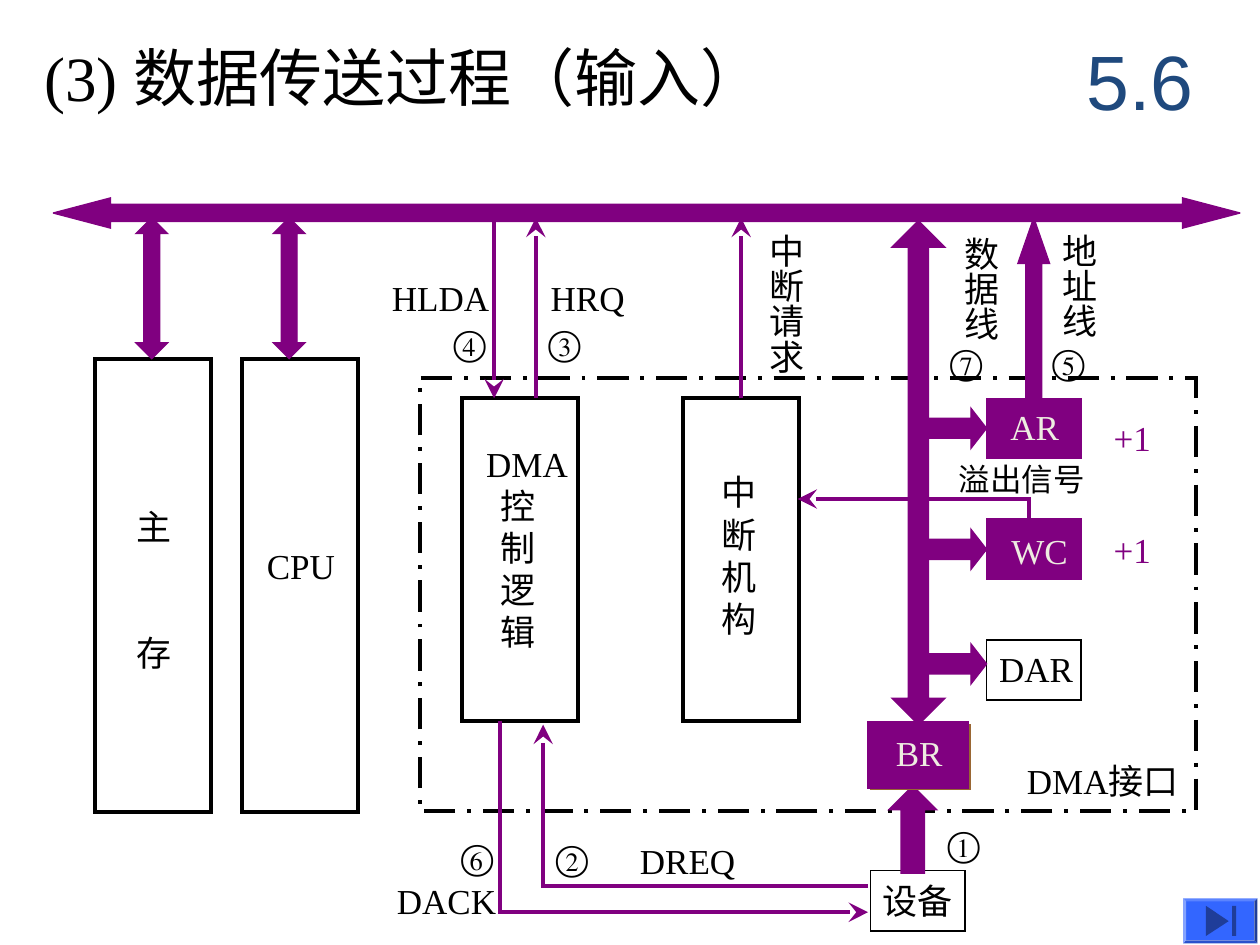
from lxml.etree import SubElement
from pptx import Presentation
from pptx.dml.color import RGBColor
from pptx.enum.dml import MSO_LINE
from pptx.enum.shapes import MSO_CONNECTOR, MSO_SHAPE
from pptx.enum.text import MSO_ANCHOR, MSO_AUTO_SIZE, PP_ALIGN
from pptx.oxml.ns import qn
from pptx.util import Cm, Pt

BLACK = RGBColor(0x00, 0x00, 0x00)
PURPLE = RGBColor(0x80, 0x00, 0x80)
CREAM = RGBColor(0xEE, 0xEC, 0xE1)
NAVY = RGBColor(0x1F, 0x49, 0x7D)
BROWN = RGBColor(0x99, 0x66, 0x33)
BUTTON_BLUE = RGBColor(0x33, 0x66, 0xFF)
ICON_BLUE = RGBColor(0x1F, 0x3D, 0x99)

LABEL_HEIGHT = 1.12
LABEL_SLACK = 0.2
REGISTER_SIZE = (1.91, 1.22)
REGISTER_LEFT = 19.89
UNIT_WIDTH = 2.34
UNIT_TOP, UNIT_HEIGHT = 8.03, 6.5
BUS_EDGE = 4.39


def write(frame, *lines, size=20, font="Times New Roman", color=BLACK,
          align=PP_ALIGN.LEFT, indent_from=None, gap=0):
    frame.text = "\n".join(lines)
    for index, paragraph in enumerate(frame.paragraphs):
        if indent_from is not None and index >= indent_from:
            paragraph._p.get_or_add_pPr().set("marL", str(Cm(0.3)))
        paragraph.alignment = align
        if index and gap:
            paragraph.space_before = Pt(gap)
        paragraph.font.size = Pt(size)
        paragraph.font.name = font
        paragraph.font.color.rgb = color


def label(slide, left, top, width, *lines, height=LABEL_HEIGHT, **style):
    box = slide.shapes.add_textbox(Cm(left), Cm(top), Cm(width + LABEL_SLACK), Cm(height))
    box.text_frame.word_wrap = False
    box.text_frame.auto_size = MSO_AUTO_SIZE.SHAPE_TO_FIT_TEXT
    write(box.text_frame, *lines, **style)


def vertical_label(slide, left, top, height, name):
    box = slide.shapes.add_textbox(Cm(left), Cm(top), Cm(1.35), Cm(height + LABEL_SLACK))
    frame = box.text_frame
    frame.word_wrap = False
    frame._txBody.bodyPr.set("vert", "eaVert")
    frame.margin_left = frame.margin_right = Cm(0.13)
    frame.margin_top = frame.margin_bottom = Cm(0.25)
    frame.auto_size = MSO_AUTO_SIZE.SHAPE_TO_FIT_TEXT
    write(frame, name)


def paint(shape, fill, line, weight):
    shape.shadow.inherit = False
    if fill is None:
        shape.fill.background()
    else:
        shape.fill.solid()
        shape.fill.fore_color.rgb = fill
    if line is None:
        shape.line.fill.background()
    else:
        shape.line.color.rgb = line
        shape.line.width = Pt(weight)
        SubElement(shape.line._get_or_add_ln(), qn("a:miter"), lim="800000")


def block(slide, left, top, width, height, kind=MSO_SHAPE.RECTANGLE,
          fill=None, line=BLACK, weight=2.25, adjust=()):
    shape = slide.shapes.add_shape(kind, Cm(left), Cm(top), Cm(width), Cm(height))
    for index, value in enumerate(adjust):
        shape.adjustments[index] = value
    paint(shape, fill, line, weight)
    return shape


def block_arrow(slide, kind, left, top, width, height, adjust, weight=0.75):
    block(slide, left, top, width, height, kind, PURPLE, PURPLE, weight, adjust)


def add_arrowhead(line):
    SubElement(line._get_or_add_ln(), qn("a:tailEnd"), type="stealth", w="lg", len="lg")


def signal(slide, x, start, end, source=None):
    wire = slide.shapes.add_connector(MSO_CONNECTOR.STRAIGHT, Cm(x), Cm(start), Cm(x), Cm(end))
    if source is not None:
        wire.begin_connect(source, 0)
    wire.line.color.rgb = PURPLE
    wire.line.width = Pt(2.25)
    add_arrowhead(wire.line)
    SubElement(wire._element.spPr, qn("a:effectLst"))


def outline(slide, points, close):
    start, *rest = [(Cm(x), Cm(y)) for x, y in points]
    builder = slide.shapes.build_freeform(*start)
    builder.add_line_segments(rest, close=close)
    return builder.convert_to_shape()


def bent_signal(slide, *points):
    wire = outline(slide, points, close=False)
    paint(wire, None, PURPLE, 2.25)
    add_arrowhead(wire.line)


def add_headings(slide):
    title = slide.shapes.title
    title.left, title.top, title.width, title.height = Cm(0.64), Cm(0.64), Cm(17.35), Cm(1.78)
    title.text_frame.auto_size = MSO_AUTO_SIZE.NONE
    title.text_frame.vertical_anchor = MSO_ANCHOR.TOP
    write(title.text_frame, "(3) 数据传送过程（输入）", size=36)

    section = slide.shapes.add_textbox(Cm(21.39), Cm(0.43), Cm(3.18), Cm(2.34)).text_frame
    section.word_wrap = True
    section.vertical_anchor = MSO_ANCHOR.MIDDLE
    write(section, "5.6", size=44, font="Arial", color=NAVY, align=PP_ALIGN.CENTER)


def add_units(slide):
    for left in (1.91, 4.88):
        block(slide, left, 7.24, UNIT_WIDTH, 9.14)
    label(slide, 2.51, 10.06, 1.22, "主", "存", height=3.66, gap=48)
    label(slide, 5.13, 10.85, 1.88, "CPU")

    interface = block(slide, 8.46, 7.62, 15.65, 8.74)
    interface.line.dash_style = MSO_LINE.LONG_DASH_DOT
    label(slide, 20.45, 15.19, 3.73, "DMA接口")

    block(slide, 9.32, UNIT_TOP, UNIT_WIDTH, UNIT_HEIGHT)
    label(slide, 9.55, 8.79, 2.16, "DMA", "控", "制", "逻", "辑", height=4.5, indent_from=1)
    interrupt_unit = block(slide, 13.77, UNIT_TOP, UNIT_WIDTH, UNIT_HEIGHT)
    label(slide, 14, 9.37, 1.52, "中", "断", "机", "构", height=3.66, indent_from=0)

    block(slide, REGISTER_LEFT, 12.9, *REGISTER_SIZE, weight=1)
    label(slide, 19.89, 12.93, 2.01, "DAR")
    block(slide, 17.55, 17.55, *REGISTER_SIZE, weight=1)
    label(slide, 17.55, 17.6, 1.91, "设备")
    return interrupt_unit


def add_buses(slide):
    block_arrow(slide, MSO_SHAPE.LEFT_RIGHT_ARROW, 1.07, 3.99, 23.93, 0.61, (0.568, 1.9))
    for left in (2.74, 5.51):
        block_arrow(slide, MSO_SHAPE.UP_DOWN_ARROW, left, BUS_EDGE, 0.64, 2.84, (0.89, 0.5))
    for top in (8.23, 10.67, 12.98):
        block_arrow(slide, MSO_SHAPE.RIGHT_ARROW, 18.62, top, 1.27, 0.81, (0.5, 0.39))
    block_arrow(slide, MSO_SHAPE.UP_DOWN_ARROW, 17.98, 4.45, 1.07, 10.16, (0.7, 0.38))
    block_arrow(slide, MSO_SHAPE.UP_ARROW, 20.52, BUS_EDGE, 0.64, 3.66, (0.5, 1.44))
    block_arrow(slide, MSO_SHAPE.UP_ARROW, 17.98, 15.88, 0.84, 1.7, (0.5, 0.5), weight=2.25)

    for name, left, top, height in (("地址线", 20.96, 4.47, 2.39), ("数据线", 18.97, 4.52, 2.39),
                                    ("中断请求", 15.04, 4.47, 3.1)):
        vertical_label(slide, left, top, height, name)


def add_signals(slide, interrupt_unit):
    signal(slide, 10.8, UNIT_TOP, BUS_EDGE)
    signal(slide, 9.96, BUS_EDGE, UNIT_TOP)
    signal(slide, 14.94, UNIT_TOP, BUS_EDGE, source=interrupt_unit)
    bent_signal(slide, (17.5, 17.86), (10.95, 17.86), (10.95, 14.61))
    bent_signal(slide, (10.08, 14.53), (10.08, 18.39), (17.5, 18.39))
    bent_signal(slide, (20.75, 10.46), (20.75, 10.06), (16.08, 10.06))

    for name, left, top, width in (("DREQ", 12.65, 16.79, 2.44), ("HRQ", 10.85, 5.44, 2.01),
                                   ("HLDA", 7.65, 5.44, 2.46), ("DACK", 7.75, 17.6, 2.51)):
        label(slide, left, top, width, name)
    label(slide, 19.08, 9.14, 3.05, "溢出信号", height=1.02, size=18)

    for step, left, top in (("①", 18.85, 16.46), ("②", 10.95, 16.74), ("③", 10.8, 6.35),
                            ("④", 8.89, 6.35), ("⑤", 20.96, 6.73), ("⑥", 9.04, 16.71),
                            ("⑦", 18.9, 6.73)):
        label(slide, left, top, 1.22, step)


def add_active_registers(slide):
    block(slide, 17.55, 14.61, 2.01, 1.3, fill=BROWN, line=BROWN, weight=0.75)
    for name, left, top, weight, name_left, name_top, name_width in (
            ("AR", REGISTER_LEFT, 8.03, 0.75, 20.12, 8.05, 1.47),
            ("WC", REGISTER_LEFT, 10.46, 0.75, 20.14, 10.54, 1.65),
            ("BR", 17.55, 14.61, 4.5, 17.81, 14.63, 1.45)):
        block(slide, left, top, *REGISTER_SIZE, fill=PURPLE, line=PURPLE, weight=weight)
        label(slide, name_left, name_top, name_width, name, color=CREAM)
    for top in (8.28, 10.52):
        label(slide, 22.2, top, 1.24, "+1", color=PURPLE)


def add_end_button(slide):
    block(slide, 23.85, 18.11, 1.5, 0.91, MSO_SHAPE.BEVEL, BUTTON_BLUE, None, adjust=(0.07,))
    triangle = outline(slide, ((24.31, 18.26), (24.77, 18.57), (24.31, 18.87)), close=True)
    paint(triangle, ICON_BLUE, None, 0)
    block(slide, 24.84, 18.26, 0.08, 0.61, fill=ICON_BLUE, line=None)


def main():
    presentation = Presentation()
    presentation.slide_width, presentation.slide_height = Cm(25.4), Cm(19.05)
    slide = presentation.slides.add_slide(presentation.slide_layouts[5])
    add_headings(slide)
    interrupt_unit = add_units(slide)
    add_buses(slide)
    add_signals(slide, interrupt_unit)
    add_active_registers(slide)
    add_end_button(slide)
    presentation.save("out.pptx")


if __name__ == "__main__":
    main()
